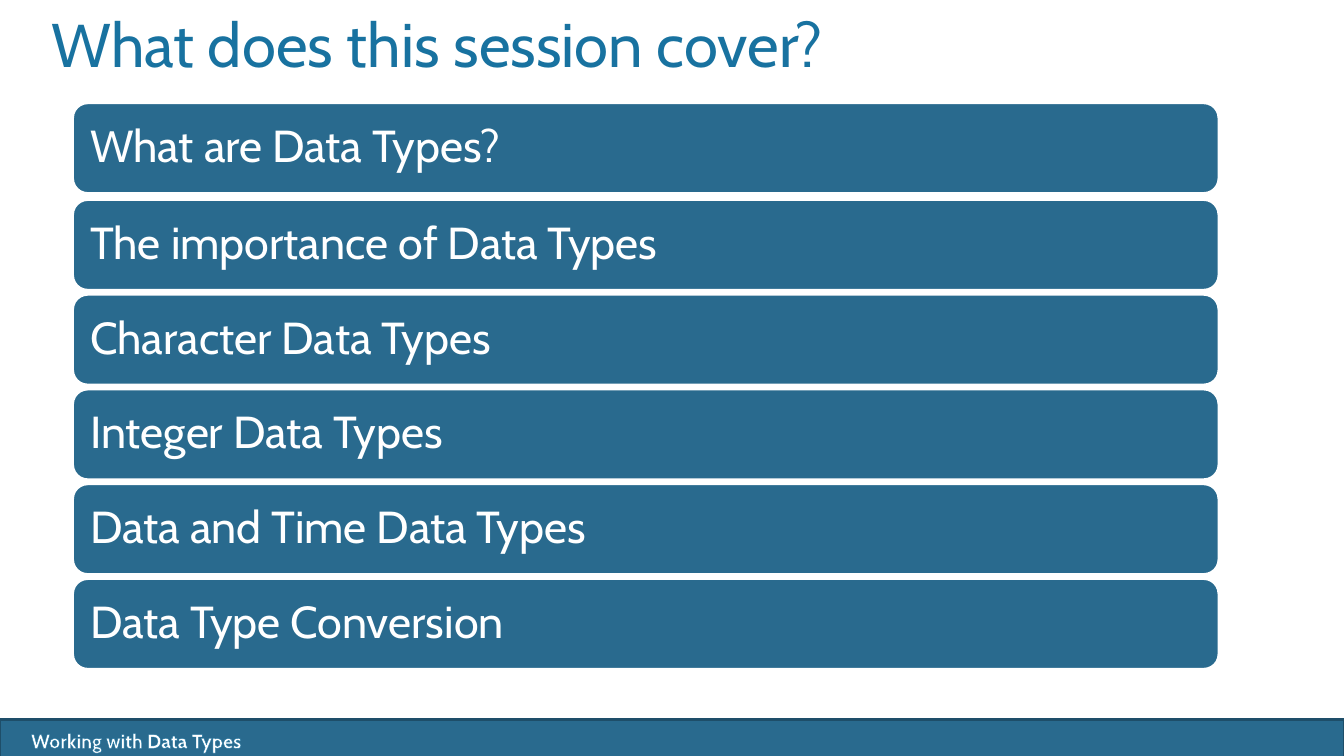
from lxml import etree
from pptx import Presentation
from pptx.dml.color import RGBColor
from pptx.enum.shapes import MSO_SHAPE
from pptx.enum.text import MSO_ANCHOR, PP_ALIGN
from pptx.oxml.ns import qn
from pptx.util import Inches, Pt

RECTANGLE = MSO_SHAPE.RECTANGLE
ROUNDED = MSO_SHAPE.ROUNDED_RECTANGLE
MIDDLE = MSO_ANCHOR.MIDDLE
LEFT = PP_ALIGN.LEFT

FONT = "Cabin"
COLOURS = {
    "title": "1872A0",
    "panel": "296A8E",
    "footer_edge": "1E4E69",
    "white": "FFFFFF",
}
TOPICS = [
    "What are Data Types?",
    "The importance of Data Types",
    "Character Data Types",
    "Integer Data Types",
    "Data and Time Data Types",
    "Data Type Conversion",
]
FIRST_TOP = 1.02
SECOND_TOP = 1.98
TOPIC_PITCH = 0.94


def colour(name):
    return RGBColor.from_string(COLOURS[name])


def add_panel(page, kind, left, top, width, height, edge):
    panel = page.shapes.add_shape(
        kind, Inches(left), Inches(top), Inches(width), Inches(height))
    panel.shadow.inherit = False
    panel.fill.solid()
    panel.fill.fore_color.rgb = colour("panel")
    panel.line.color.rgb = colour(edge)
    panel.line.width = Pt(2)
    return panel


def write_text(frame, text, size, ink):
    frame.word_wrap = True
    para = frame.paragraphs[0]
    para.alignment = LEFT
    para.add_run().text = text
    para.font.name = FONT
    para.font.size = Pt(size)
    para.font.color.rgb = colour(ink)
    return para


def add_label(page, left, top, width, height, text, size, ink):
    box = page.shapes.add_textbox(
        Inches(left), Inches(top), Inches(width), Inches(height))
    return write_text(box.text_frame, text, size, ink)


def add_topic(page, top, text):
    panel = add_panel(page, ROUNDED, 0.72, top, 11.37, 0.9, "white")
    frame = panel.text_frame
    frame.vertical_anchor = MIDDLE
    frame.margin_left = frame.margin_right = Inches(0.13)
    frame.margin_top = frame.margin_bottom = Inches(0.13)
    write_text(frame, text, 32, "white").line_spacing = 0.9


def outline_text(span, name, points):
    properties = span.font._element
    line = etree.Element(qn("a:ln"), w=str(Pt(points)))
    fill = etree.SubElement(line, qn("a:solidFill"))
    etree.SubElement(fill, qn("a:srgbClr"), val=COLOURS[name])
    properties.insert(0, line)


def add_footer(page):
    add_panel(page, RECTANGLE, 0, 7.14, 13.33, 0.4, "footer_edge")
    para = add_label(page, 0.21, 7.18, 6.06, 0.34,
                     "Working with Data Types", 14, "white")
    para.font.bold = True
    outline_text(para.runs[0], "title", 0.8)


def main():
    deck = Presentation()
    deck.slide_width = Inches(13.33)
    deck.slide_height = Inches(7.5)
    page = deck.slides.add_slide(deck.slide_layouts[6])

    # Footer band
    add_footer(page)

    # Title
    title = add_label(page, 0.41, 0.26, 12, 1.25,
                      "What does this session cover?", 44, "title")
    title.line_spacing = Pt(35)

    # Session topics: the first stands slightly apart from the even rest
    add_topic(page, FIRST_TOP, TOPICS[0])
    for index, topic in enumerate(TOPICS[1:]):
        add_topic(page, SECOND_TOP + index * TOPIC_PITCH, topic)

    deck.save("out.pptx")


if __name__ == "__main__":
    main()
